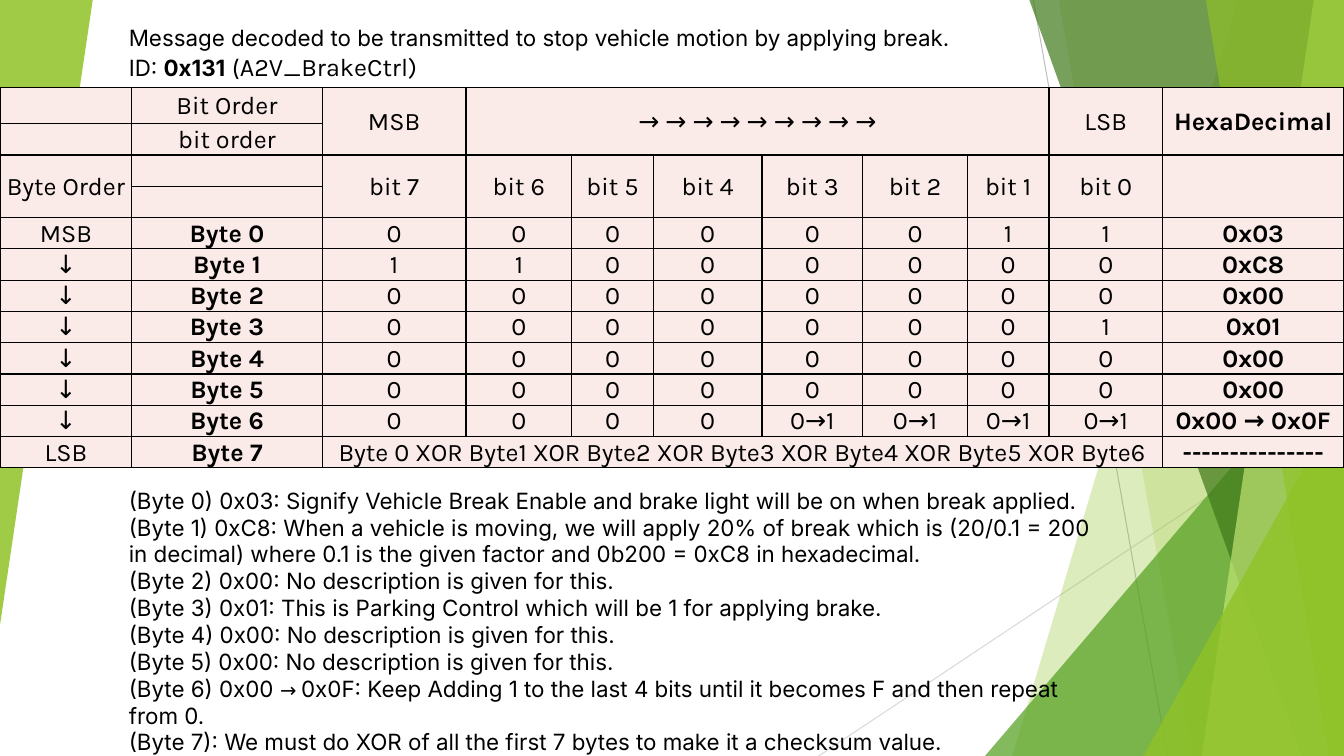
from lxml.etree import SubElement
from pptx import Presentation
from pptx.dml.color import RGBColor
from pptx.enum.shapes import MSO_CONNECTOR as Connector, MSO_SHAPE as Shape
from pptx.enum.text import MSO_ANCHOR as Anchor, PP_ALIGN as Align
from pptx.oxml.ns import qn
from pptx.util import Inches, Pt

BLACK = RGBColor(0x00, 0x00, 0x00)
PINK = RGBColor(0xFA, 0xEA, 0xE8)
LIME = RGBColor(0x90, 0xC2, 0x26)
GREEN = RGBColor(0x54, 0xA0, 0x21)
DARK_GREEN = RGBColor(0x3F, 0x78, 0x19)
PALE_LIME = RGBColor(0xC0, 0xE4, 0x74)
GRAY = RGBColor(0xBF, 0xBF, 0xBF)
LIGHT_GRAY = RGBColor(0xD9, 0xD9, 0xD9)

WIDTH, HEIGHT = Inches(13.33), Inches(7.5)
BODY, GRID = "Inter", "Karla"
COLUMNS = [1.31, 1.89, 1.43, 1.05, 0.81, 1.08, 1, 1.04, 0.81, 1.13, 1.8]
ROWS = [0.36] + [0.31] * 11
MERGES = ([(0, 2, 1, 2), (0, 3, 1, 8), (0, 9, 1, 9), (0, 10, 1, 10), (2, 0, 3, 0)]
          + [(2, column, 3, column) for column in range(2, 11)] + [(11, 2, 11, 9)])

BYTES = [("00000011", "0x03"), ("11000000", "0xC8"), ("00000000", "0x00"),
         ("00000001", "0x01"), ("00000000", "0x00"), ("00000000", "0x00"),
         (["0"] * 4 + ["0→1"] * 4, "0x00 → 0x0F")]

HEADING = [
    [("Message decoded to be transmitted to stop vehicle motion by applying break.", BODY, 16, False)],
    [("ID: ", BODY, 16, False), ("0x131", BODY, 16, True), (" (", BODY, 16, False),
     ("A2V_BrakeCtrl)", GRID, 18, False)],
]
NOTES = [[(line, BODY, 16, False)] for line in (
    "(Byte 0) 0x03: Signify Vehicle Break Enable and brake light will be on when break applied.",
    "(Byte 1) 0xC8: When a vehicle is moving, we will apply 20% of break which is (20/0.1 = 200 "
    "in decimal) where 0.1 is the given factor and 0b200 = 0xC8 in hexadecimal.",
    "(Byte 2) 0x00: No description is given for this.",
    "(Byte 3) 0x01: This is Parking Control which will be 1 for applying brake.",
    "(Byte 4) 0x00: No description is given for this.",
    "(Byte 5) 0x00: No description is given for this.",
)] + [
    [("(Byte 6) 0x00 ", BODY, 16, False), ("→ ", GRID, 14, False),
     ("0x0F: Keep Adding 1 to the last 4 bits until it becomes F and then repeat from 0.",
      BODY, 16, False)],
    [("(Byte 7): We must do XOR of all the first 7 bytes to make it a checksum value.", BODY, 16, False)],
]


def across(percent):
    return round(WIDTH * percent / 100)


def down(percent):
    return round(HEIGHT * percent / 100)


def box(left, top, width, height):
    return across(left), down(top), across(width), down(height)


def style_run(run, font_name, size, bold):
    font = run.font
    font.name, font.size, font.bold = font_name, Pt(size), bold
    font.color.rgb = BLACK


def paint(shape, color, opacity):
    shape.shadow.inherit = False
    shape.line.fill.background()
    shape.fill.solid()
    shape.fill.fore_color.rgb = color
    color_element = next(shape._element.spPr.iter(qn("a:srgbClr")))
    SubElement(color_element, qn("a:alpha"), val=str(opacity * 1000))


def add_line(slide, start, end, color):
    line = slide.shapes.add_connector(Connector.STRAIGHT, across(start[0]), down(start[1]),
                                      across(end[0]), down(end[1]))
    line.line.color.rgb = color
    line.line.width = Pt(0.75)
    SubElement(line._element.spPr, qn("a:effectLst"))


def add_band(slide, top_left, bottom_left, color, opacity):
    builder = slide.shapes.build_freeform(across(top_left), 0)
    builder.add_line_segments([(WIDTH, 0), (WIDTH, HEIGHT), (across(bottom_left), HEIGHT)])
    paint(builder.convert_to_shape(), color, opacity)


def add_triangle(slide, bounds, color, opacity, rotation=0):
    triangle = slide.shapes.add_shape(Shape.ISOSCELES_TRIANGLE, *box(*bounds))
    triangle.adjustments[0] = 1
    triangle.rotation = rotation
    paint(triangle, color, opacity)


def add_text(slide, bounds, lines):
    frame = slide.shapes.add_textbox(*box(*bounds)).text_frame
    frame.word_wrap = True
    for index, pieces in enumerate(lines):
        paragraph = frame.add_paragraph() if index else frame.paragraphs[0]
        paragraph.level = 1
        properties = paragraph._p.get_or_add_pPr()
        properties.set("marL", str(Inches(0.5)))
        properties.set("indent", "0")
        for text, *style in pieces:
            run = paragraph.add_run()
            run.text = text
            style_run(run, *style)


def style_cell(cell, text, bold):
    cell.margin_left = cell.margin_right = cell.margin_top = Inches(0.01)
    cell.margin_bottom = 0
    cell.vertical_anchor = Anchor.MIDDLE
    properties = cell._tc.get_or_add_tcPr()
    for side in ("lnL", "lnR", "lnT", "lnB"):
        border = SubElement(properties, qn(f"a:{side}"), w=str(Pt(1)))
        fill = SubElement(border, qn("a:solidFill"))
        SubElement(fill, qn("a:srgbClr"), val=str(BLACK))
    cell.fill.solid()
    cell.fill.fore_color.rgb = PINK
    paragraph = cell.text_frame.paragraphs[0]
    paragraph.text = text
    paragraph.alignment = Align.CENTER
    for run in paragraph.runs:
        style_run(run, GRID, 18, bold)


def message_rows():
    rows = [["", "Bit Order", "MSB", " ".join("→" * 9)] + [""] * 5 + ["LSB", "HexaDecimal"],
            ["", "bit order"] + [""] * 9,
            ["Byte Order", ""] + [f"bit {bit}" for bit in range(7, -1, -1)] + [""],
            [""] * 11]
    for index, (bits, value) in enumerate(BYTES):
        rows.append(["↓" if index else "MSB", f"Byte {index}", *bits, value])
    checksum = " XOR ".join(["Byte 0"] + [f"Byte{index}" for index in range(1, 7)])
    return rows + [["LSB", "Byte 7", checksum] + [""] * 7 + ["-" * 15]]


def add_message_table(slide):
    bounds = box(0, 11.6, 100, 50)
    table_frame = slide.shapes.add_table(len(ROWS), len(COLUMNS), *bounds)
    table = table_frame.table
    for column, share in zip(table.columns, COLUMNS):
        column.width = round(bounds[2] * share / sum(COLUMNS))
    for row, share in zip(table.rows, ROWS):
        row.height = round(bounds[3] * share / sum(ROWS))
    for row, texts in enumerate(message_rows()):
        for column, text in enumerate(texts):
            bold = column == 10 or (column == 1 and row > 3)
            style_cell(table.cell(row, column), text, bold)
    for top, left, bottom, right in MERGES:
        table.cell(top, left).merge(table.cell(bottom, right))


def add_backdrop(slide):
    add_line(slide, (76.89, 0), (86.87, 100), GRAY)
    add_line(slide, (100, 53.73), (60.92, 100), LIGHT_GRAY)
    add_band(slide, 92.12, 75.32, LIME, 30)
    add_band(slide, 78.77, 88.75, LIME, 20)
    add_triangle(slide, (73.29, 44.4, 26.71, 55.6), GREEN, 72)
    add_band(slide, 76.59, 96.85, DARK_GREEN, 70)
    add_band(slide, 97.75, 89.42, PALE_LIME, 70)
    add_band(slide, 89.72, 98.87, LIME, 65)
    add_triangle(slide, (85.07, 52.4, 14.93, 47.6), LIME, 80)
    add_triangle(slide, (0, 0, 6.9, 82.67), LIME, 85, rotation=180)


def main():
    presentation = Presentation()
    presentation.slide_width, presentation.slide_height = WIDTH, HEIGHT
    slide = presentation.slides.add_slide(presentation.slide_layouts[6])
    add_backdrop(slide)
    add_text(slide, (5.1, 2.53, 100, 8.93), HEADING)
    add_message_table(slide)
    add_text(slide, (5.1, 63.73, 78.02, 33.6), NOTES)
    presentation.save("out.pptx")


if __name__ == "__main__":
    main()
